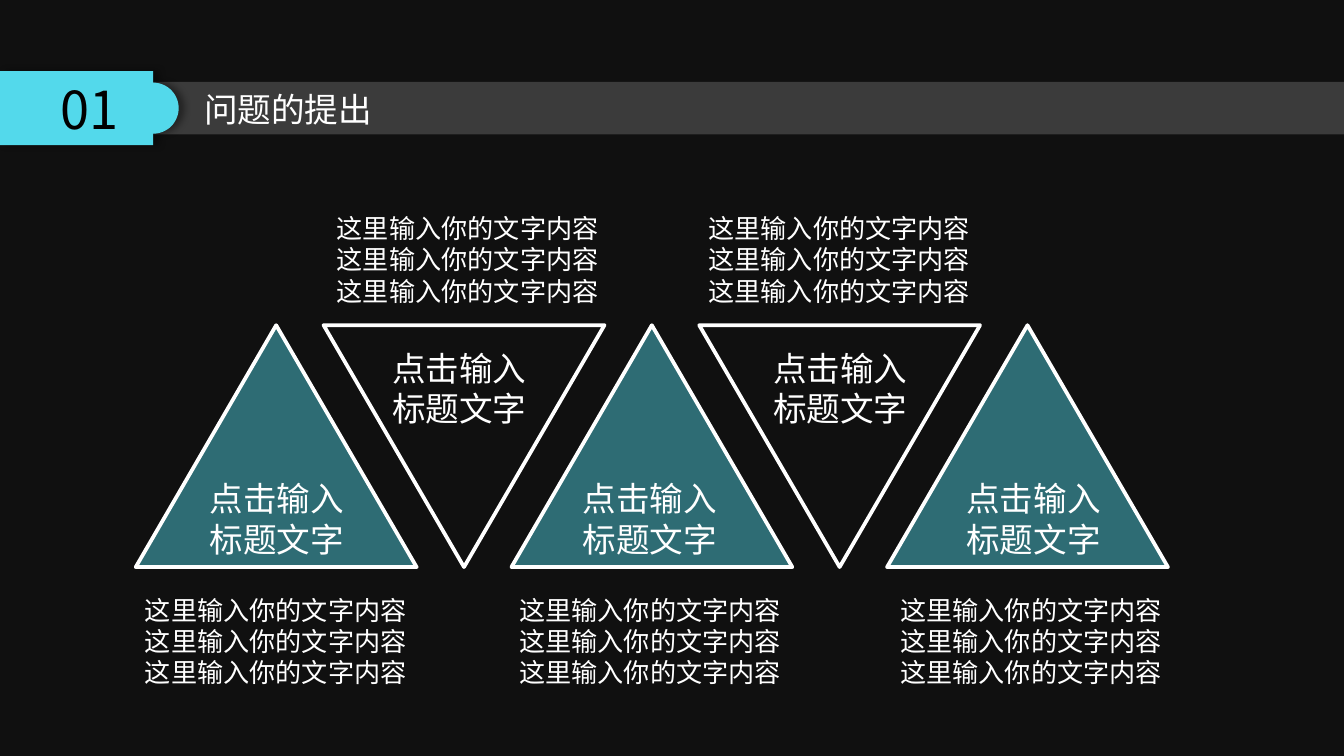
import math

from lxml import etree
from pptx import Presentation
from pptx import util as u
from pptx.dml.color import RGBColor
from pptx.enum import shapes, text
from pptx.oxml import parse_xml
from pptx.oxml.ns import nsdecls, qn

COLORS = {"background": "101010", "white": "FFFFFF", "cyan": "53D9EB", "black": "000000"}
SANS_SC = "Noto Sans CJK SC"
SANS_JP = "Noto Sans CJK JP"

LABEL = "点击输入\n标题文字"
BODY = "\n".join(["这里输入你的文字内容"] * 3)
# Offsets of the label and the body text from the left of their triangle
COLUMNS = [(0.35, -0.03), (0.31, 0), (0.33, -0.04), (0.35, -0.03), (0.39, 0)]


def color(name):
    return RGBColor.from_string(COLORS[name])


def paint(shape, fill=None, opacity=100, line=None):
    shape.shadow.inherit = False
    if fill:
        shape.fill.solid()
        shape.fill.fore_color.rgb = color(fill)
        if opacity < 100:
            srgb = shape.fill._xPr.find(qn("a:solidFill"))[0]
            etree.SubElement(srgb, qn("a:alpha")).set("val", str(opacity * 1000))
    else:
        shape.fill.background()
    if line:
        shape.line.color.rgb = color(line)
        shape.line.width = u.Pt(2)
        etree.SubElement(shape.line._get_or_add_ln(), qn("a:round"))
    else:
        shape.line.fill.background()


def write(shape, words, size, fill="white", font=SANS_SC, align=text.PP_ALIGN.LEFT):
    shape.text_frame.text = words
    for paragraph in shape.text_frame.paragraphs:
        paragraph.alignment = align
        for run in paragraph.runs:
            run.font.size = u.Pt(size)
            run.font.color.rgb = color(fill)
            run.font.name = font
            etree.SubElement(run.font._element, qn("a:ea")).set("typeface", font)


def add_text(slide, box, words, size, wrap=False, align=text.PP_ALIGN.LEFT):
    caption = slide.shapes.add_textbox(*map(u.Inches, box))
    write(caption, words, size, align=align)
    caption.text_frame.word_wrap = wrap
    caption.text_frame.auto_size = text.MSO_AUTO_SIZE.SHAPE_TO_FIT_TEXT


def add_number_tab(slide, left, top, width, height, number):
    """Draw a rectangle with a half-round bump on its right side."""
    bump_width, bump_radius = 0.19, 0.19
    edge, middle = left + width - bump_width, top + height / 2
    angles = [math.radians(a) for a in range(-90, 91, 5)]
    bump = [(edge + bump_width * math.cos(a), middle + bump_radius * math.sin(a))
            for a in angles]
    outline = [(edge, top), *bump, (edge, top + height), (left, top + height)]
    builder = slide.shapes.build_freeform(u.Inches(left), u.Inches(top))
    builder.add_line_segments([(u.Inches(x), u.Inches(y)) for x, y in outline])
    tab = builder.convert_to_shape()
    paint(tab, "cyan")
    effects = tab._element.spPr.find(qn("a:effectLst"))
    effects.append(parse_xml(
        f'<a:outerShdw {nsdecls("a")} blurRad="{u.Pt(4)}" dist="{u.Pt(3)}" dir="0" '
        f'algn="l" rotWithShape="0"><a:srgbClr val="{COLORS["black"]}">'
        '<a:alpha val="40000"/></a:srgbClr></a:outerShdw>'))
    write(tab, number, 28, "black", SANS_JP, text.PP_ALIGN.CENTER)
    tab.text_frame.vertical_anchor = text.MSO_ANCHOR.MIDDLE


def add_header(slide, left, top, width, height, number, title):
    band = slide.shapes.add_shape(shapes.MSO_SHAPE.RECTANGLE,
                                  *map(u.Inches, (left, top, width, height)))
    paint(band, "white", 18)
    add_number_tab(slide, left, top - 0.08, 1.33, 0.55, number)
    add_text(slide, (left + 1.42, top, 1.46, 0.4), title, 18)


def add_triangle(slide, left, top, width, height, inverted):
    triangle = slide.shapes.add_shape(shapes.MSO_SHAPE.ISOSCELES_TRIANGLE,
                                      *map(u.Inches, (left, top, width, height)))
    if inverted:
        triangle._element.spPr.xfrm.set("flipV", "1")
        paint(triangle, line="white")
    else:
        paint(triangle, "cyan", 46, "white")


def add_triangle_row(slide, left, top, width, height, triangle_width):
    """Spread alternating triangles over the row, then add their texts."""
    step = (width - triangle_width) / (len(COLUMNS) - 1)
    columns = [(left + i * step, i % 2 == 1, *shifts) for i, shifts in enumerate(COLUMNS)]
    for x, inverted, _, _ in columns:
        add_triangle(slide, x, top, triangle_width, height, inverted)
    for x, inverted, label_shift, _ in columns:
        label_top = top + 0.12 if inverted else top + height - 0.71
        add_text(slide, (x + label_shift, label_top, 1.4, 0.71), LABEL, 18,
                 wrap=True, align=text.PP_ALIGN.CENTER)
    for x, inverted, _, body_shift in columns:
        body_top = top - 0.89 if inverted else top + height + 0.15
        add_text(slide, (x + body_shift, body_top, 2.17, 0.81), BODY, 14)


def main():
    deck = Presentation()
    deck.slide_width = u.Inches(10)
    deck.slide_height = deck.slide_width * 9 // 16
    slide = deck.slides.add_slide(deck.slide_layouts[6])
    slide.background.fill.solid()
    slide.background.fill.fore_color.rgb = color("background")
    add_header(slide, 0, 0.61, 10, 0.39, "01", "问题的提出")
    add_triangle_row(slide, 1.01, 2.42, 7.68, 1.8, triangle_width=2.09)
    deck.save("out.pptx")


if __name__ == "__main__":
    main()
